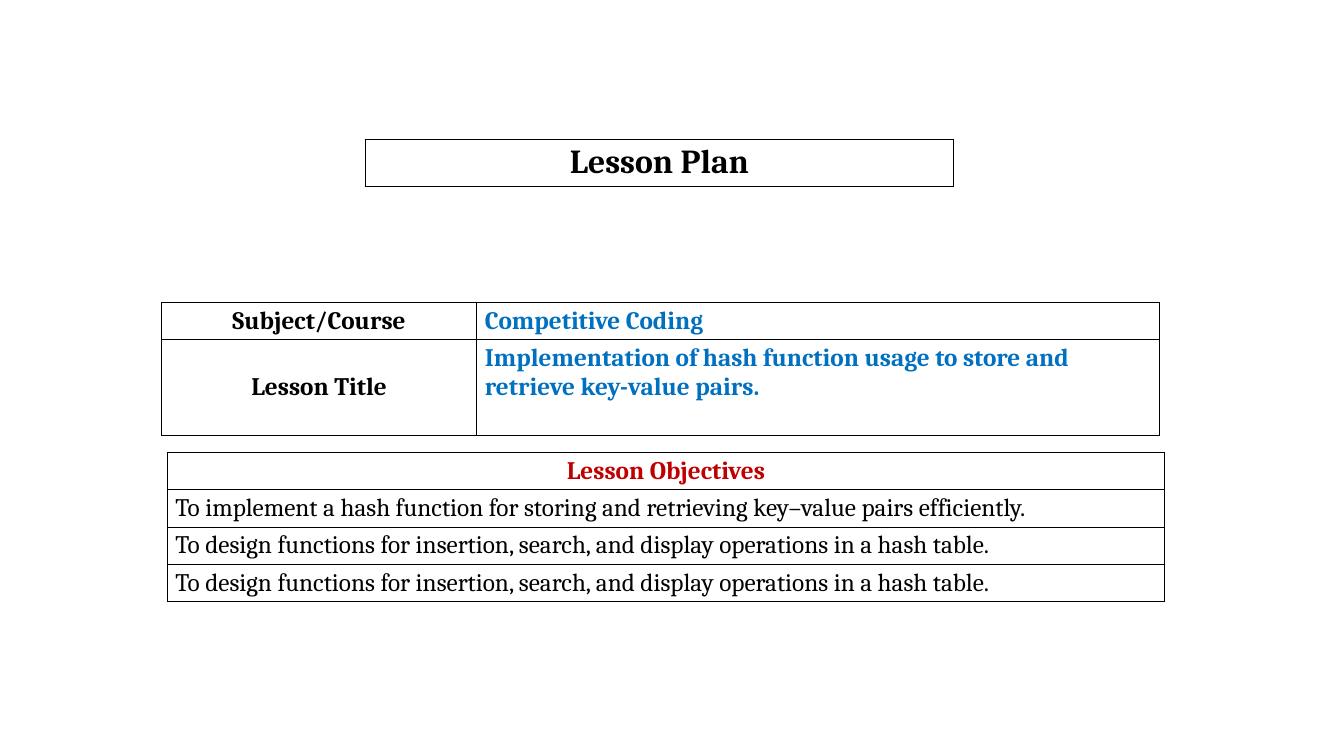
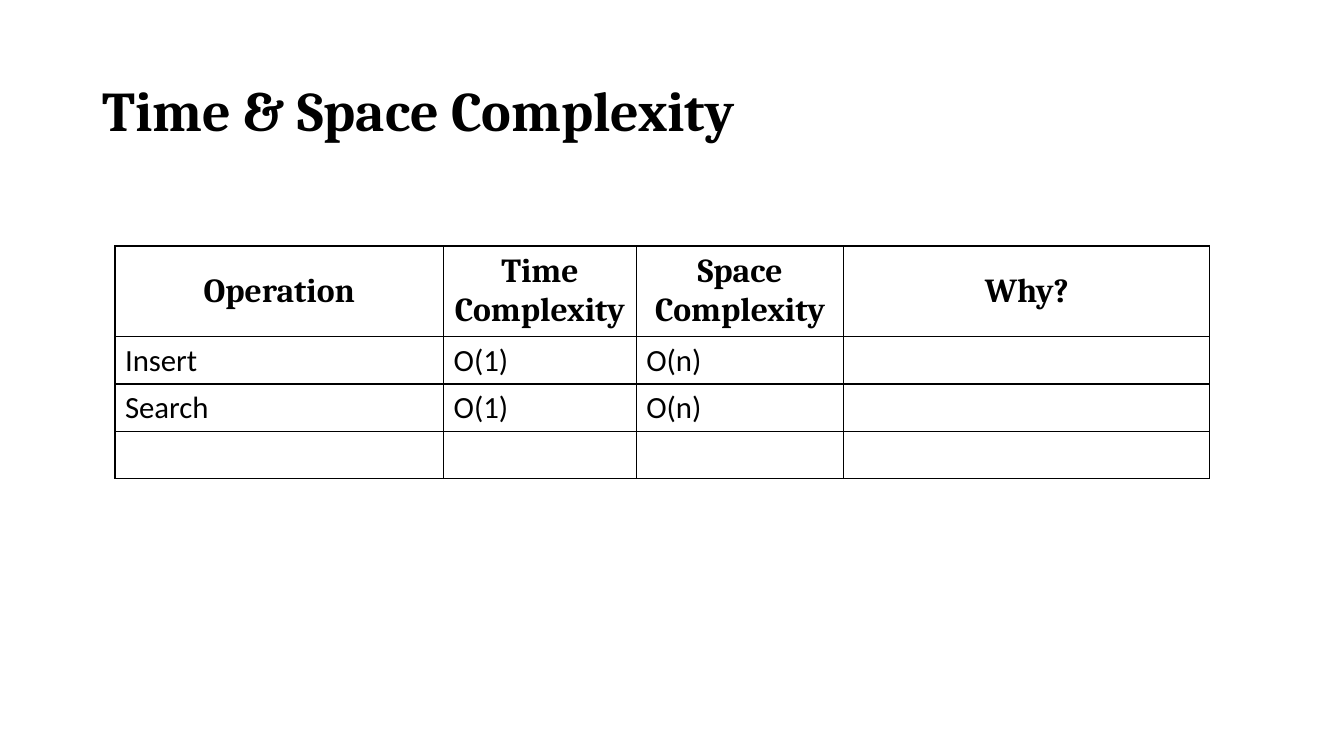
"""Build a lesson plan slide and a complexity table slide."""
from dataclasses import dataclass, replace

import lxml.etree
import pptx
import pptx.dml.color
import pptx.enum.text
import pptx.oxml.ns
import pptx.slide
import pptx.table
import pptx.text.text
import pptx.util

BLACK = "000000"
WHITE = "FFFFFF"
BLUE = "0070C0"
RED = "C00000"
SERIF = "Cambria"
SANS = "Calibri"
MIDDLE = pptx.enum.text.MSO_ANCHOR.MIDDLE
TOP = pptx.enum.text.MSO_ANCHOR.TOP
Inches = pptx.util.Inches


@dataclass(frozen=True)
class TextStyle:
    size: float
    color: str = BLACK
    font: str = SERIF
    bold: bool = True
    centered: bool = False


@dataclass(frozen=True)
class CellText:
    text: str
    style: TextStyle
    anchor: pptx.enum.text.MSO_ANCHOR = MIDDLE


@dataclass(frozen=True)
class Grid:
    left: float
    top: float
    columns: list[float]
    heights: list[float]
    rows: list[list[CellText]]
    line_width: float = 0.77
    margins: tuple[float, float] = (0.08, 0.04)
    fill: str | None = WHITE


TITLE = TextStyle(40)
BANNER = TextStyle(24, centered=True)
LABEL = TextStyle(18, centered=True)
SECTION = replace(LABEL, color=RED)
VALUE = TextStyle(18, BLUE)
OBJECTIVE = TextStyle(18, bold=False)
ENTRY = TextStyle(22, font=SANS, bold=False)


def rgb(color: str) -> pptx.dml.color.RGBColor:
    return pptx.dml.color.RGBColor.from_string(color)


def write_text(frame: pptx.text.text.TextFrame, text: str, style: TextStyle) -> None:
    frame.text = text
    for paragraph in frame.paragraphs:
        if style.centered:
            paragraph.alignment = pptx.enum.text.PP_ALIGN.CENTER
        paragraph.font.size = pptx.util.Pt(style.size)
        paragraph.font.name = style.font
        paragraph.font.bold = style.bold
        paragraph.font.color.rgb = rgb(style.color)


def add_borders(cell: pptx.table._Cell, width: float) -> None:
    properties = cell._tc.get_or_add_tcPr()
    qn = pptx.oxml.ns.qn
    for side in ("lnL", "lnR", "lnT", "lnB"):
        line = lxml.etree.SubElement(properties, qn(f"a:{side}"), w=str(pptx.util.Pt(width)))
        solid = lxml.etree.SubElement(line, qn("a:solidFill"))
        lxml.etree.SubElement(solid, qn("a:srgbClr"), val=BLACK)


def format_cell(cell: pptx.table._Cell, content: CellText, grid: Grid) -> None:
    add_borders(cell, grid.line_width)
    if grid.fill:
        cell.fill.solid()
        cell.fill.fore_color.rgb = rgb(grid.fill)
    else:
        cell.fill.background()
    cell.margin_left = cell.margin_right = Inches(grid.margins[0])
    cell.margin_top = cell.margin_bottom = Inches(grid.margins[1])
    cell.vertical_anchor = content.anchor
    write_text(cell.text_frame, content.text, content.style)


def add_grid(page: pptx.slide.Slide, grid: Grid) -> None:
    table = page.shapes.add_table(
        len(grid.heights), len(grid.columns), Inches(grid.left), Inches(grid.top),
        Inches(sum(grid.columns)), Inches(sum(grid.heights))).table
    table.first_row = False
    table.horz_banding = False
    for column, width in zip(table.columns, grid.columns):
        column.width = Inches(width)
    for row, height, contents in zip(table.rows, grid.heights, grid.rows):
        row.height = Inches(height)
        for cell, content in zip(row.cells, contents):
            format_cell(cell, content, grid)


def add_title(page: pptx.slide.Slide, text: str) -> None:
    box = page.shapes.add_textbox(Inches(0.92), Inches(0.4), Inches(11.5), Inches(1.45))
    frame = box.text_frame
    frame.word_wrap = True
    frame.vertical_anchor = MIDDLE
    write_text(frame, text, TITLE)
    frame.paragraphs[0].line_spacing = 0.9


def build_lesson_plan(page: pptx.slide.Slide) -> None:
    add_grid(page, Grid(3.62, 1.38, [5.84], [0.47], [[CellText("Lesson Plan", BANNER)]]))
    lesson_title = "Implementation of hash function usage to store and\nretrieve key-value pairs."
    add_grid(page, Grid(1.6, 3, [3.13, 6.77], [0.37, 0.95], [
        [CellText("Subject/Course", LABEL), CellText("Competitive Coding", VALUE)],
        [CellText("Lesson Title", LABEL), CellText(lesson_title, VALUE, TOP)],
    ]))
    objectives = [
        "To implement a hash function for storing and retrieving key–value pairs efficiently.",
        "To design functions for insertion, search, and display operations in a hash table.",
        "To design functions for insertion, search, and display operations in a hash table.",
    ]
    rows = [[CellText("Lesson Objectives", SECTION)]]
    rows += [[CellText(objective, OBJECTIVE)] for objective in objectives]
    add_grid(page, Grid(1.66, 4.49, [9.89], [0.37] * len(rows), rows))


def build_complexity(page: pptx.slide.Slide) -> None:
    add_title(page, "Time & Space Complexity")
    headings = ["Operation", "Time Complexity", "Space Complexity", "Why?"]
    entries = [["Insert", "O(1)", "O(n)", ""], ["Search", "O(1)", "O(n)", ""], [""] * 4]
    rows = [[CellText(heading, BANNER) for heading in headings]]
    rows += [[CellText(entry, ENTRY) for entry in line] for line in entries]
    add_grid(page, Grid(1.14, 2.44, [3.26, 1.91, 2.06, 3.63], [0.87] + [0.47] * len(entries),
                        rows, line_width=1, margins=(0.1, 0.05), fill=None))


def main() -> None:
    deck = pptx.Presentation()
    deck.slide_width = Inches(13.33)
    deck.slide_height = Inches(7.5)
    for build in (build_lesson_plan, build_complexity):
        build(deck.slides.add_slide(deck.slide_layouts[6]))
    deck.save("out.pptx")


if __name__ == "__main__":
    main()
